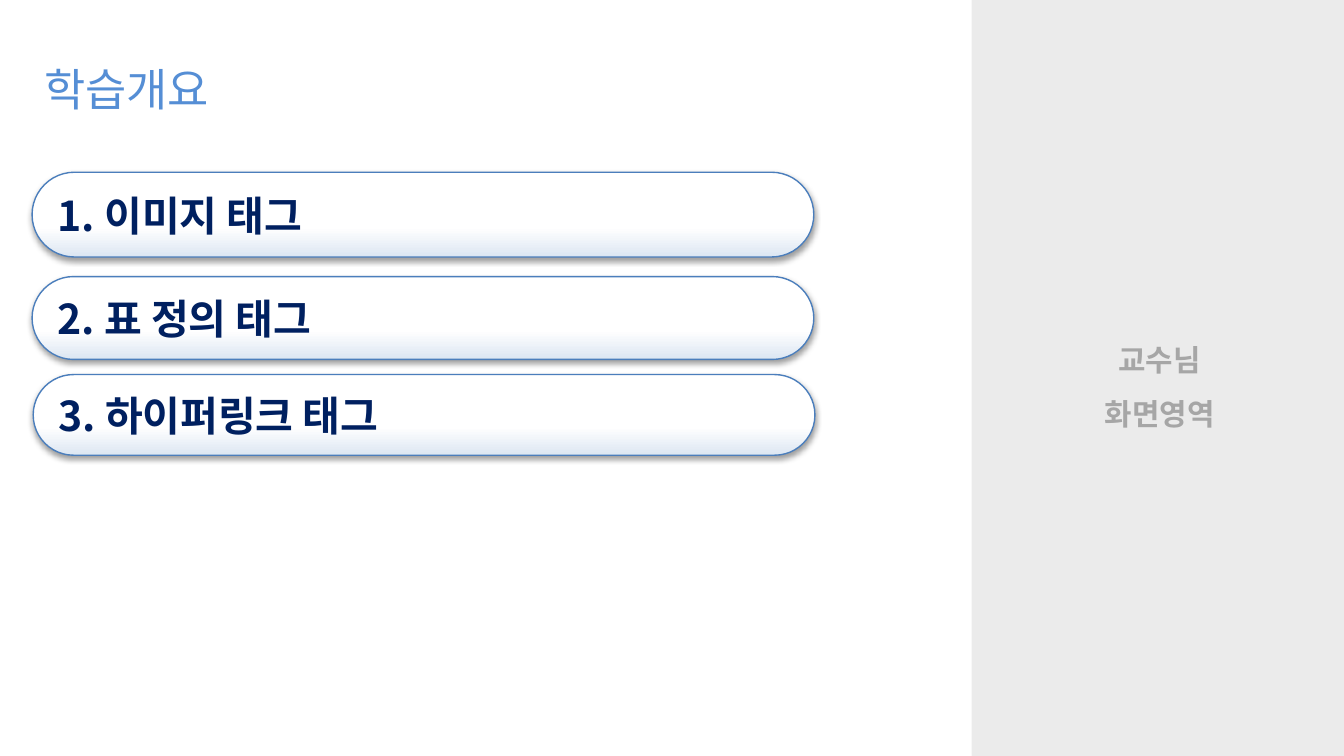
"""Build the learning overview slide with three topic pills and a lecturer area."""
from lxml.etree import SubElement
from pptx import Presentation
from pptx.dml.color import RGBColor
from pptx.enum.shapes import MSO_SHAPE
from pptx.enum.text import MSO_ANCHOR, MSO_AUTO_SIZE, PP_ALIGN
from pptx.oxml.ns import qn
from pptx.util import Pt

KOREAN = "Noto Sans CJK KR"


def color(value):
    return RGBColor.from_string(value)


def write(paragraph, text, size, ink, bold, align, spacing=1.0, font=KOREAN):
    paragraph.alignment = align
    paragraph.line_spacing = spacing
    run = paragraph.add_run()
    run.text = text
    for name, value in {"size": Pt(size), "bold": bold, "name": font}.items():
        setattr(run.font, name, value)
    run.font.color.rgb = color(ink)
    SubElement(run.font._element, qn("a:ea"), typeface=KOREAN)


deck = Presentation()
deck.slide_width, deck.slide_height = Pt(720), Pt(405)
slide = deck.slides.add_slide(deck.slide_layouts[5])

lecturer = slide.shapes.add_shape(MSO_SHAPE.RECTANGLE, Pt(520.5), Pt(0), Pt(201.6), Pt(405))
lecturer.shadow.inherit = False
lecturer.fill.solid()
lecturer.fill.fore_color.rgb = color("D9D9D9")
SubElement(lecturer._element.spPr.find(".//" + qn("a:srgbClr")), qn("a:alpha"), val="50000")
lecturer.line.fill.background()
lecturer.text_frame.vertical_anchor = MSO_ANCHOR.MIDDLE
lines = [lecturer.text_frame.paragraphs[0], lecturer.text_frame.add_paragraph()]
for line, text in zip(lines, ["교수님", "화면영역"]):
    write(line, text, 16, "A6A6A6", True, PP_ALIGN.CENTER, 1.5, "Arial")

heading = slide.shapes.title
for name, value in {"left": 16.5, "top": 26.6, "width": 481, "height": 36.7}.items():
    setattr(heading, name, Pt(value))
frame_format = {"vertical_anchor": MSO_ANCHOR.TOP, "word_wrap": True,
                "auto_size": MSO_AUTO_SIZE.SHAPE_TO_FIT_TEXT}
for name, value in frame_format.items():
    setattr(heading.text_frame, name, value)
write(heading.text_frame.paragraphs[0], "학습개요", 24, "558ED5", False, PP_ALIGN.LEFT, 1.1)

topics = [
    ("1. 이미지 태그", 17.2, 92.3, 45.4),
    ("2. 표 정의 태그", 17.2, 148.2, 44.4),
    ("3. 하이퍼링크 태그", 17.8, 200.7, 43.2),
]
for text, left, top, height in topics:
    topic = slide.shapes.add_shape(
        MSO_SHAPE.ROUNDED_RECTANGLE, Pt(left), Pt(top), Pt(418.8), Pt(height))
    topic.adjustments[0] = 0.5
    topic.fill.gradient()
    topic.fill.gradient_angle = 90
    for stop, (position, tint) in zip(topic.fill.gradient_stops, [(0, "DCE6F2"), (0.35, "FFFFFF")]):
        stop.position = position
        stop.color.rgb = color(tint)
    topic.line.color.rgb = color("4B7EBC")
    topic.line.width = Pt(0.75)
    topic.shadow.inherit = False
    shadow = SubElement(
        topic._element.spPr.find(qn("a:effectLst")), qn("a:outerShdw"),
        blurRad=str(Pt(3.1)), dist=str(Pt(1.6)), dir="5400000", rotWithShape="0")
    shade = SubElement(shadow, qn("a:srgbClr"), val="000000")
    SubElement(shade, qn("a:alpha"), val="38000")
    topic.text_frame.vertical_anchor = MSO_ANCHOR.MIDDLE
    write(topic.text_frame.paragraphs[0], text, 22, "002060", True, PP_ALIGN.LEFT)

deck.save("out.pptx")
